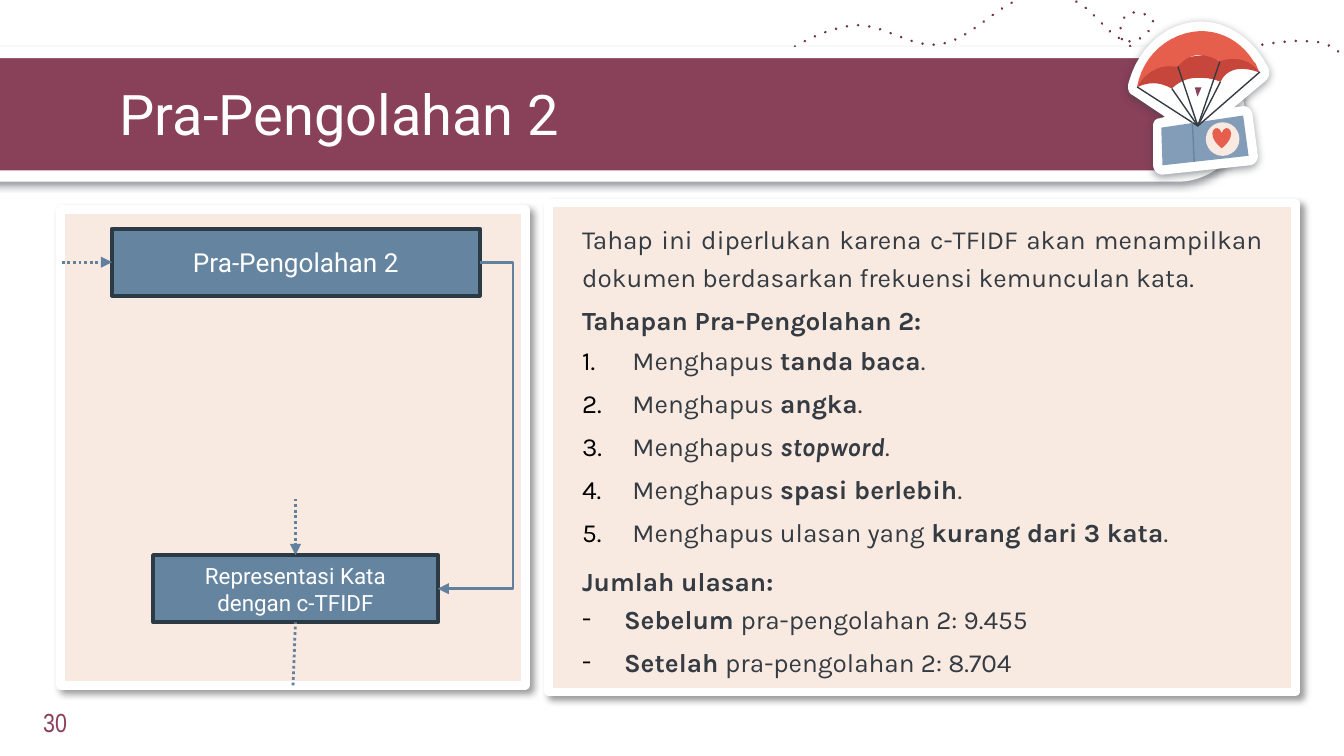
import pptx
import pptx.util
import pptx.dml.color
import pptx.enum.shapes
import pptx.enum.text
import pptx.oxml.ns
from lxml import etree

Pt = pptx.util.Pt
qn = pptx.oxml.ns.qn
SHAPE = pptx.enum.shapes.MSO_SHAPE
CONNECTOR = pptx.enum.shapes.MSO_CONNECTOR
ALIGN = pptx.enum.text.PP_ALIGN
ANCHOR = pptx.enum.text.MSO_ANCHOR

COLORS = {
    "plum": "894059", "trail": "70324A", "white": "FFFFFF", "cream": "F9EAE1",
    "ink": "343B42", "steel": "6584A0", "edge": "2C3A46", "flow": "61819E",
    "red": "E65E4C", "dark_red": "C6463C", "parcel": "839DB8", "black": "000000",
}
STICKER_SHADOW = ("ink", 50, 4.5, 1.5, 90)
PANEL_SHADOW = ("black", 40, 4, 3, 45)

TRAIL = [(393.1, 51.1), (410, 34, 432, 17.3, 455.8, 13.7), (472, 11.5, 487.4, 25.9, 503.3, 23.8),
         (522.7, 20.9, 537, -2.9, 557.3, -2.9), (566, -2.9, 575.3, -1.4, 581.8, 4.3),
         (590.4, 11.5, 599, 25.2, 609, 21.6), (613.4, 19.4, 620, 13, 617, 10),
         (614, 7.2, 609, 5.8, 604.8, 7.2), (599.8, 9.4, 598.3, 20.9, 603.4, 23.8),
         (637, 46, 714, -1.4, 723.6, 38.2)]
BACKING = [(643, 11.5), (625, 12, 610, 25, 604.8, 43.9), (604, 46, 604, 50, 607, 51.1),
           (624.2, 62.6), (621.4, 63.4), (619, 63.5, 617.4, 65.5, 617.8, 68.4), (617.8, 88.6),
           (617.8, 91, 620, 93.6, 622.8, 93.6), (669.6, 88.6), (672, 88.4, 674, 86, 673.9, 83.5),
           (671, 61.2), (670.6, 58.5, 668.5, 56.9, 666, 56.9), (661, 57.6), (678.2, 43.2),
           (680.5, 41, 680.5, 37.5, 679, 35.3), (676.8, 31.7), (669, 19, 656, 11.5, 643, 11.5)]
GAP = [(643.7, 46.8), (641.5, 51.8), (640.1, 46.8)]
CANOPY_INSIDE = [(661.7, 27.4), (615.6, 33.1), (613.4, 37, 611, 42.5, 609.1, 46.8),
                 (610.6, 46, 614, 44.6, 617.8, 44.6), (622, 44.6, 625, 46, 627.8, 47.5),
                 (629, 46, 634, 42, 640, 41.8), (647, 41.4, 651, 42.5, 653.8, 43.9),
                 (654.5, 42.5, 656, 40, 658.1, 38.9), (662, 36, 669, 36.5, 674.6, 38.9),
                 (672.5, 33.8)]
CANOPY = [(643, 16.6), (625.7, 17.5, 612, 30, 609.1, 46.8), (610, 45, 613, 39.6, 619.9, 36.7),
          (623, 35.5, 627, 35, 630.7, 36), (632, 34, 636, 30, 641.5, 29.5),
          (647, 29.3, 651.6, 31.5, 653, 33.1), (656, 31.5, 659.5, 31.4, 663.1, 31.7),
          (670, 32.4, 674, 37.5, 674.6, 38.9), (669, 25, 657, 16.6, 643, 16.6)]
PARCEL = [(666, 61.9), (622.1, 68.4), (622.8, 88.6), (668.9, 83.5)]
STRINGS = [(609.2, 46.6), (627.8, 47.5), (631, 35.6), (653.5, 33), (653.8, 43.9), (675, 38.5)]
KNOT = (641.7, 67.5)

REMOVED = [("Menghapus ", "tanda baca"), ("Menghapus ", "angka"), ("Menghapus ", "stopword"),
           ("Menghapus ", "spasi berlebih"), ("Menghapus ulasan yang ", "kurang dari 3 kata")]
COUNTS = [("Sebelum ", "pra-pengolahan 2: 9.455"), ("Setelah ", "pra-pengolahan 2: 8.704")]


def rgb(color):
    return pptx.dml.color.RGBColor.from_string(COLORS[color])


def paint(shape, fill=None, line=None, width=1, shadow=None):
    shape.shadow.inherit = False
    if fill:
        shape.fill.solid()
        shape.fill.fore_color.rgb = rgb(fill)
    else:
        shape.fill.background()
    if line:
        shape.line.color.rgb = rgb(line)
        shape.line.width = Pt(width)
    else:
        shape.line.fill.background()
    if shadow:
        color, alpha, blur, distance, angle = shadow
        effects = shape._element.spPr.find(qn("a:effectLst"))
        outer = etree.SubElement(effects, qn("a:outerShdw"), blurRad=str(Pt(blur)),
                                 dist=str(Pt(distance)), dir=str(angle * 60000),
                                 algn="bl", rotWithShape="0")
        tint = etree.SubElement(outer, qn("a:srgbClr"), val=COLORS[color])
        etree.SubElement(tint, qn("a:alpha"), val=str(alpha * 1000))


def add_preset(slide, kind, box, **look):
    shape = slide.shapes.add_shape(kind, *map(Pt, box))
    paint(shape, **look)
    return shape


def flatten(outline, steps=12):
    points = [outline[0]]
    for segment in outline[1:]:
        if len(segment) == 2:
            points.append(segment)
            continue
        x0, y0 = points[-1]
        x1, y1, x2, y2, x3, y3 = segment
        for step in range(1, steps + 1):
            t = step / steps
            a, b, c, d = (1 - t) ** 3, 3 * t * (1 - t) ** 2, 3 * t * t * (1 - t), t ** 3
            points.append((a * x0 + b * x1 + c * x2 + d * x3, a * y0 + b * y1 + c * y2 + d * y3))
    return [(Pt(x), Pt(y)) for x, y in points]


def add_outline(slide, outline, close=True, **look):
    start, *rest = flatten(outline)
    builder = slide.shapes.build_freeform(*start)
    builder.add_line_segments(rest, close=close)
    shape = builder.convert_to_shape()
    paint(shape, **look)
    return shape


def style_line(shape, dash=None, arrow=False):
    ln = shape.line._get_or_add_ln()
    if dash:
        etree.SubElement(ln, qn("a:prstDash"), val=dash)
    if arrow:
        etree.SubElement(ln, qn("a:tailEnd"), type="triangle")


def add_line(slide, start, end, color, width, kind=CONNECTOR.STRAIGHT, dash=None, arrow=False):
    line = slide.shapes.add_connector(kind, *map(Pt, start + end))
    line.line.color.rgb = rgb(color)
    line.line.width = Pt(width)
    style_line(line, dash, arrow)
    etree.SubElement(line._element.spPr, qn("a:effectLst"))
    return line


def set_frame(frame, anchor, inset):
    frame.word_wrap = True
    frame.auto_size = pptx.enum.text.MSO_AUTO_SIZE.NONE
    frame.vertical_anchor = anchor
    frame.margin_left = frame.margin_right = Pt(inset)
    frame.margin_top = frame.margin_bottom = Pt(inset)


def add_run(paragraph, text, size, font, color, bold=False, italic=False):
    run = paragraph.add_run()
    run.text = text
    run.font.size, run.font.name = Pt(size), font
    run.font.bold, run.font.italic = bold, italic
    run.font.color.rgb = rgb(color)


def next_paragraph(frame):
    first = frame.paragraphs[0]
    return frame.add_paragraph() if first.runs else first


def place(placeholder, box):
    placeholder.left, placeholder.top, placeholder.width, placeholder.height = map(Pt, box)
    placeholder._element.getparent().append(placeholder._element)


def add_body_line(frame, runs, before=0, after=0, indent=0, bullet=None):
    paragraph = next_paragraph(frame)
    paragraph.alignment = ALIGN.JUSTIFY
    paragraph.line_spacing = 1.2
    paragraph.space_before, paragraph.space_after = Pt(before), Pt(after)
    properties = paragraph._p.get_or_add_pPr()
    properties.set("marL", str(Pt(indent)))
    properties.set("indent", str(-Pt(indent)))
    if bullet:
        tint = etree.SubElement(properties, qn("a:buClr"))
        etree.SubElement(tint, qn("a:srgbClr"), val=COLORS["black"])
        etree.SubElement(properties, qn("a:buFont"), typeface="Karla")
        tag, key, value = bullet
        etree.SubElement(properties, qn(tag)).set(key, value)
    else:
        etree.SubElement(properties, qn("a:buNone"))
    for text, bold in runs:
        add_run(paragraph, text, 14, "Karla", "ink", bold, text == "stopword")


def add_step(slide, box, lines, size):
    step = add_preset(slide, SHAPE.RECTANGLE, box, fill="steel", line="edge", width=2)
    step.text_frame.vertical_anchor = ANCHOR.MIDDLE
    for text in lines:
        paragraph = next_paragraph(step.text_frame)
        paragraph.alignment = ALIGN.CENTER
        add_run(paragraph, text, size, "Roboto", "white")
    return step


def add_header(slide):
    trail = add_outline(slide, TRAIL, close=False, line="trail", width=1.5)
    trail.line._get_or_add_ln().set("cap", "rnd")
    style_line(trail, "dot")
    banner = add_preset(slide, SHAPE.ROUND_2_SAME_RECTANGLE, (294.5, -275, 66.2, 672.5),
                        fill="plum", line="white", width=6, shadow=STICKER_SHADOW)
    banner.adjustments[0], banner.adjustments[1] = 0.5, 0
    banner.rotation = 90
    title = slide.shapes.title
    place(title, (56.9, 35.3, 580.3, 45.4))
    set_frame(title.text_frame, ANCHOR.TOP, 7.2)
    heading = title.text_frame.paragraphs[0]
    heading.alignment = ALIGN.JUSTIFY
    add_run(heading, "Pra-Pengolahan 2", 30, "Roboto", "white")


def add_parachute(slide):
    add_outline(slide, BACKING, fill="white", shadow=STICKER_SHADOW)
    for outline, color in ((GAP, "plum"), (CANOPY_INSIDE, "dark_red"), (CANOPY, "red"),
                           (PARCEL, "parcel")):
        add_outline(slide, outline, fill=color)
    for hook in STRINGS:
        add_line(slide, hook, KNOT, "ink", 0.75)
    add_line(slide, (638.8, 65.6), (639.8, 86.7), "steel", 0.75)
    add_preset(slide, SHAPE.OVAL, (646, 65.5, 18, 18), fill="cream")
    add_preset(slide, SHAPE.HEART, (649.5, 68.5, 10, 11), fill="red")


def add_explanation(slide, body):
    place(body, (304.6, 110.9, 379.4, 257.8))
    frame = body.text_frame
    set_frame(frame, ANCHOR.MIDDLE, 7.2)
    add_body_line(frame, [("Tahap ini diperlukan karena c-TFIDF akan menampilkan dokumen "
                           "berdasarkan frekuensi kemunculan kata.", False)])
    add_body_line(frame, [("Tahapan Pra-Pengolahan 2:", True)], before=3, after=1)
    for action, target in REMOVED:
        add_body_line(frame, [(action, False), (target, True), (".", False)], indent=27,
                      after=6 if target == REMOVED[-1][1] else 3,
                      bullet=("a:buAutoNum", "type", "arabicPeriod"))
    add_body_line(frame, [("Jumlah ulasan:", True)])
    for moment, count in COUNTS:
        add_body_line(frame, [(moment, True), (count, False)], indent=22.5, after=3,
                      bullet=("a:buChar", "char", "-"))


def add_flow(slide):
    cleaning = add_step(slide, (60, 122.5, 197, 36), ["Pra-Pengolahan 2"], 14)
    weighting = add_step(slide, (82, 297.4, 152.6, 36), ["Representasi Kata", "dengan c-TFIDF"], 12)
    handover = add_line(slide, (257, 140.5), (234.6, 315.4), "flow", 1.5,
                        kind=CONNECTOR.ELBOW, arrow=True)
    handover.begin_connect(cleaning, 3)
    handover.end_connect(weighting, 3)
    guides = handover._element.spPr.find(qn("a:prstGeom")).find(qn("a:avLst"))
    etree.SubElement(guides, qn("a:gd"), name="adj1", fmla="val -80000")
    for start, end, step, side, arrow in (((33.1, 140.5), (60, 140.5), cleaning, 1, True),
                                          ((158.3, 267.1), (158.3, 297.4), weighting, 0, True),
                                          ((157, 367.2), (158.3, 333.4), weighting, 2, False)):
        line = add_line(slide, start, end, "flow", 1.5, dash="sysDot", arrow=arrow)
        line.end_connect(step, side)


def add_page_number(slide):
    number = slide.shapes.add_textbox(*map(Pt, (13.7, 379.4, 692.6, 14.4)))
    set_frame(number.text_frame, ANCHOR.MIDDLE, 9.4)
    add_run(number.text_frame.paragraphs[0], "30", 14, "Arial Narrow", "plum")


def main():
    deck = pptx.Presentation()
    deck.slide_width, deck.slide_height = Pt(720), Pt(405)
    slide = deck.slides.add_slide(deck.slide_layouts[1])
    add_header(slide)
    add_page_number(slide)
    add_parachute(slide)
    for panel in ((32.4, 112.3, 249.1, 254.9), (293.8, 108.7, 400.3, 262.1)):
        add_preset(slide, SHAPE.RECTANGLE, panel, fill="cream", line="white", width=4.5,
                   shadow=PANEL_SHADOW)
    add_explanation(slide, slide.placeholders[1])
    add_flow(slide)
    deck.save("out.pptx")


if __name__ == "__main__":
    main()
